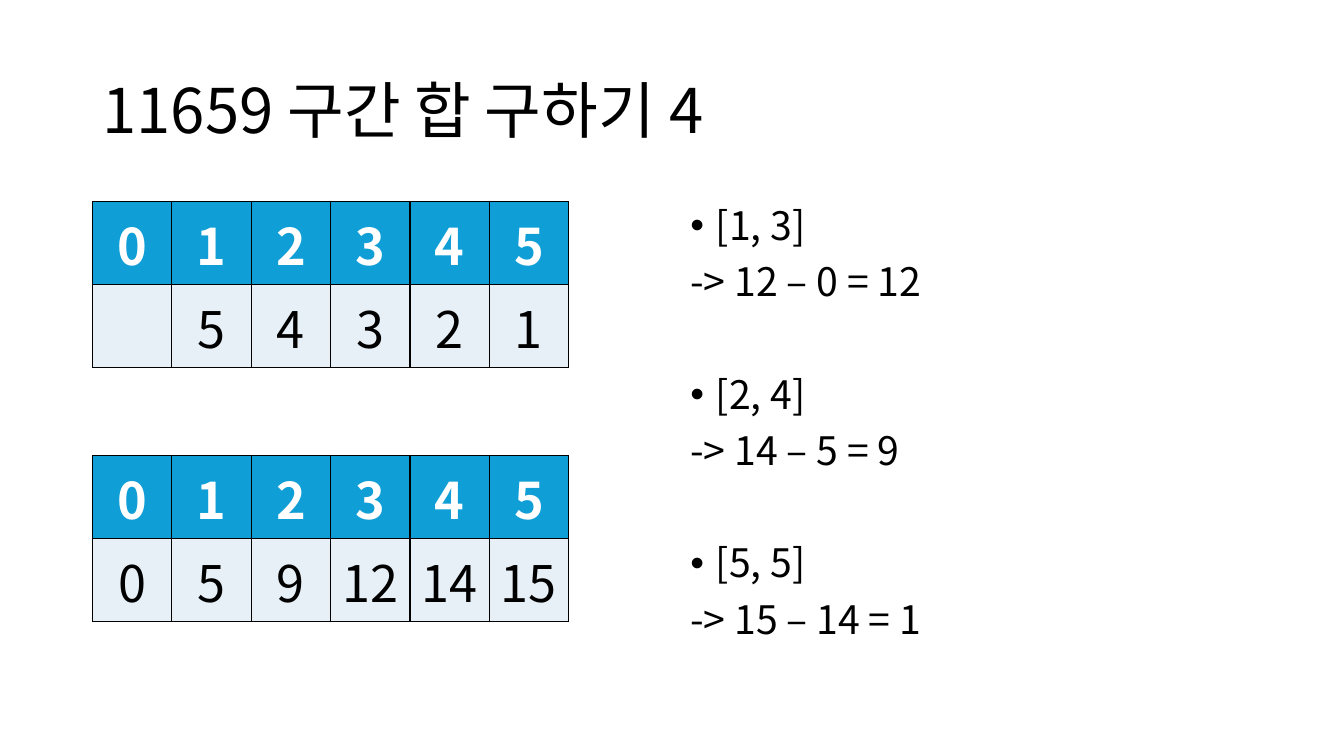
from lxml import etree
from pptx import Presentation
from pptx import util as u
from pptx.dml.color import RGBColor
from pptx.enum import text
from pptx.oxml.ns import qn

FONT = "Noto Sans CJK KR"
COLORS = {"text": "000000", "header": "0F9ED5", "header text": "FFFFFF",
          "cell": "E7F0F7", "border": "000000"}


def set_font(paragraph, size, color, bold=False):
    font = paragraph.font
    font.name, font.size, font.bold = FONT, u.Pt(size), bold
    font.color.rgb = RGBColor.from_string(COLORS[color])


def add_borders(cell):
    properties = cell._tc.get_or_add_tcPr()
    for side in ("a:lnL", "a:lnR", "a:lnT", "a:lnB"):
        line = etree.SubElement(properties, qn(side), w=str(u.Pt(1)))
        fill = etree.SubElement(line, qn("a:solidFill"))
        etree.SubElement(fill, qn("a:srgbClr"), val=COLORS["border"])


presentation = Presentation()
presentation.slide_width, presentation.slide_height = u.Cm(33.87), u.Cm(19.05)
slide = presentation.slides.add_slide(presentation.slide_layouts[5])

# Title
title = slide.shapes.title
title.left, title.top, title.width, title.height = u.Cm(2.33), u.Cm(1.01), u.Cm(29.21), u.Cm(3.68)
title.text_frame.text = "11659 구간 합 구하기 4"
title.text_frame.vertical_anchor = text.MSO_ANCHOR.MIDDLE
paragraph = title.text_frame.paragraphs[0]
paragraph.alignment = text.PP_ALIGN.LEFT
paragraph.line_spacing = 0.9
set_font(paragraph, 44, "text")

# Range sums worked out from the prefix sums
queries = [("[1, 3]", "-> 12 – 0 = 12"),
           ("[2, 4]", "-> 14 – 5 = 9"),
           ("[5, 5]", "-> 15 – 14 = 1")]
answers = slide.shapes.add_textbox(u.Cm(17.15), u.Cm(5.08), u.Cm(14.4), u.Cm(12.09))
frame = answers.text_frame
frame.word_wrap = True
for number, query in enumerate(queries):
    for step, line in enumerate(query):
        first = number == 0 and step == 0
        paragraph = frame.paragraphs[0] if first else frame.add_paragraph()
        paragraph.text = line
        paragraph.line_spacing = 0.9
        if step == 1:
            paragraph.space_before = u.Pt(10)
        else:
            paragraph.space_before = u.Pt(0 if first else 50)
            properties = paragraph._p.get_or_add_pPr()
            properties.set("marL", str(u.Cm(0.64)))
            properties.set("indent", str(u.Cm(-0.64)))
            etree.SubElement(properties, qn("a:buFont"), typeface="Arial")
            etree.SubElement(properties, qn("a:buChar"), char="•")
        set_font(paragraph, 28, "text")

# Input numbers above, their prefix sums below
indexes = ["0", "1", "2", "3", "4", "5"]
tables = [(5.08, ["", "5", "4", "3", "2", "1"]),
          (11.48, ["0", "5", "9", "12", "14", "15"])]
for top, values in tables:
    table = slide.shapes.add_table(2, 6, u.Cm(2.33), u.Cm(top), u.Cm(12), u.Cm(4.18)).table
    for row, entries in enumerate((indexes, values)):
        header = row == 0
        table.rows[row].height = u.Cm(2.09)
        for column, entry in enumerate(entries):
            cell = table.cell(row, column)
            add_borders(cell)
            cell.fill.solid()
            cell.fill.fore_color.rgb = RGBColor.from_string(COLORS["header" if header else "cell"])
            cell.vertical_anchor = text.MSO_ANCHOR.MIDDLE
            cell.margin_bottom = u.Cm(0.33)
            cell.text = entry
            paragraph = cell.text_frame.paragraphs[0]
            paragraph.alignment = text.PP_ALIGN.CENTER
            set_font(paragraph, 36, "header text" if header else "text", header)

presentation.save("out.pptx")
